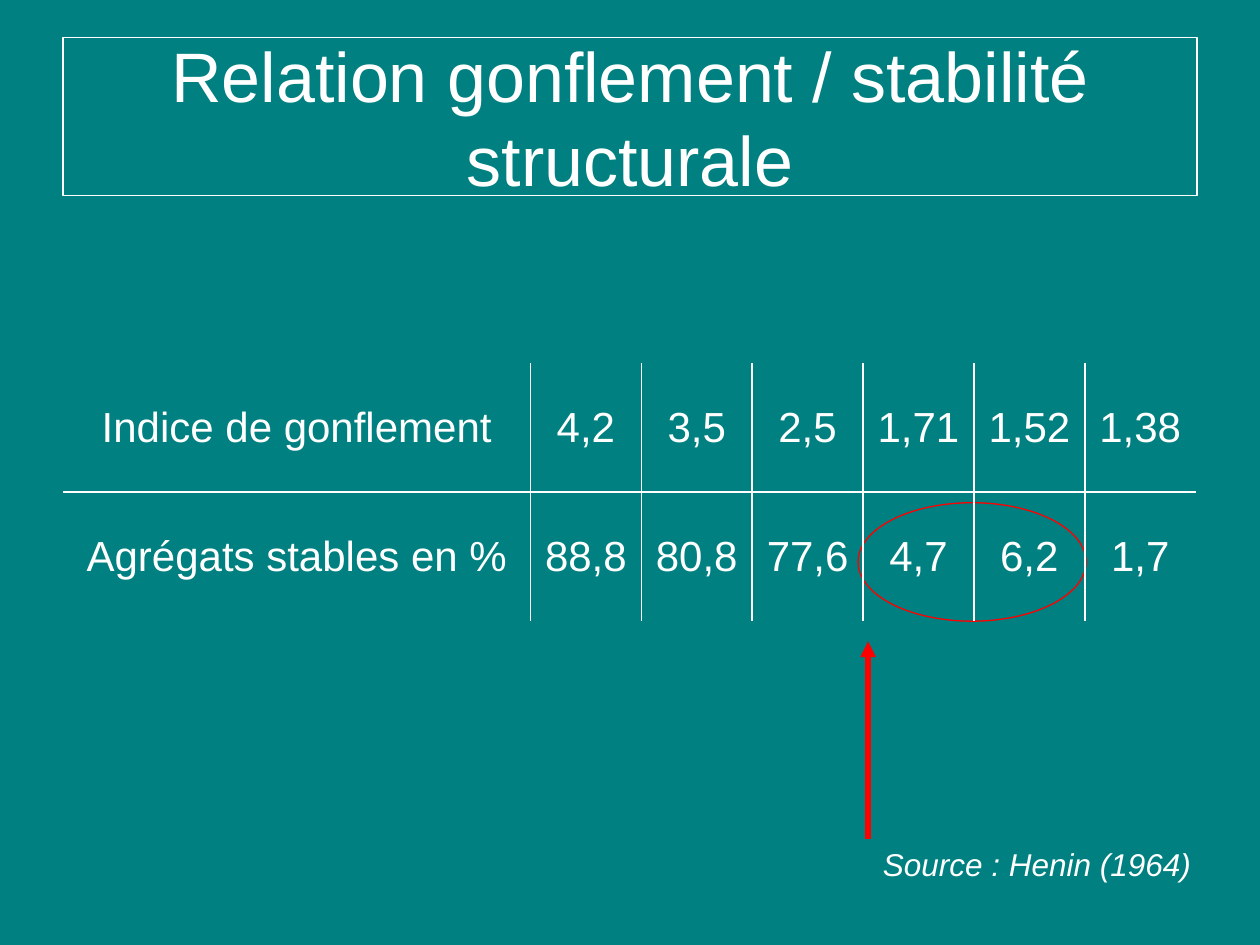
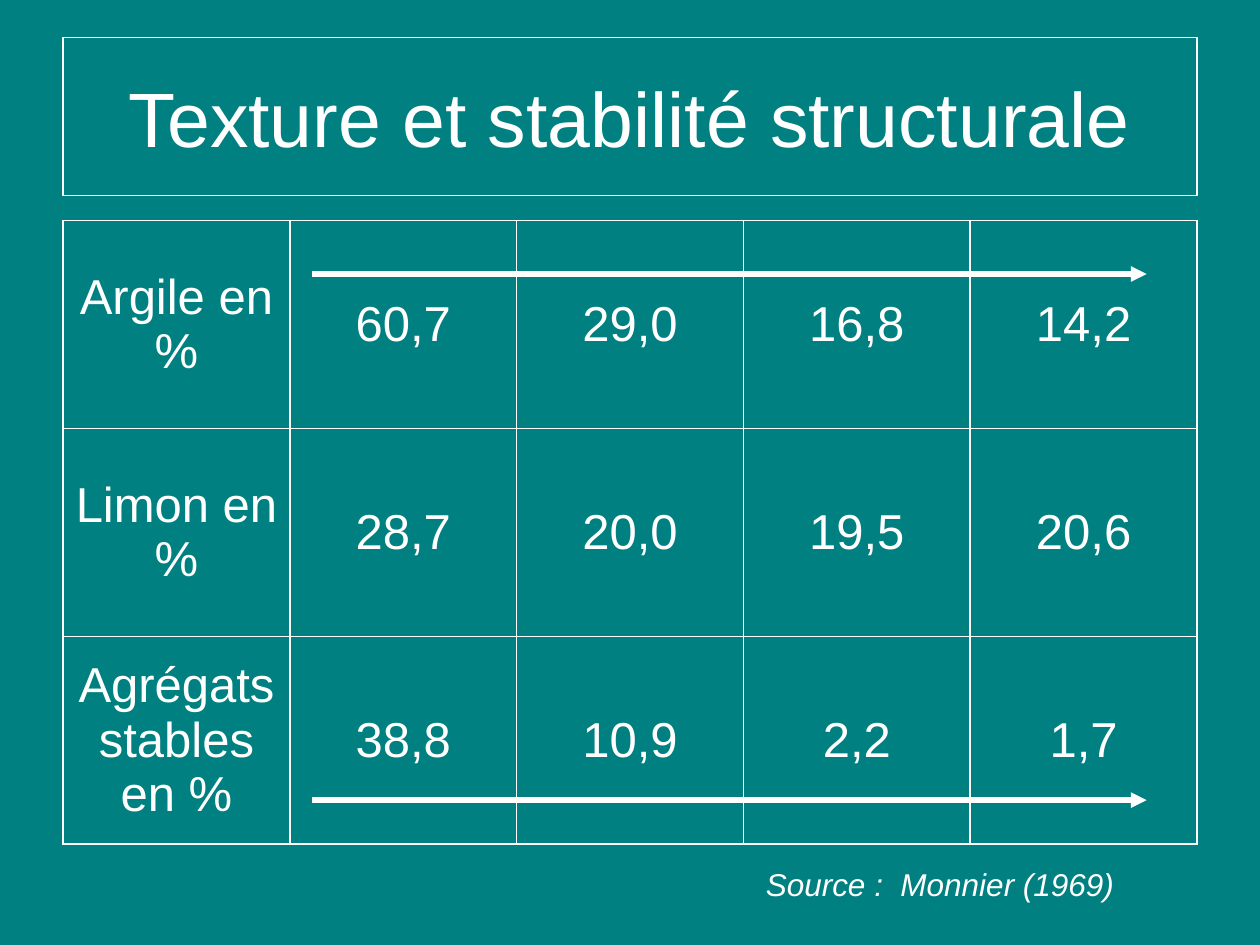
import pptx
import pptx.util
import pptx.dml.color
import pptx.enum.shapes
import pptx.enum.text
import pptx.oxml
import pptx.oxml.ns

COLORS = {"ground": "008080", "ink": "FFFFFF", "accent": "FF0000"}
FONT = "Arial"
COLS, ROWS = 100, 75  # slide grid, square units
UNIT = pptx.util.Inches(10) // COLS
MARGIN = 5
CONTENT = COLS - 2 * MARGIN
CENTER = pptx.enum.text.PP_ALIGN.CENTER
MIDDLE = pptx.enum.text.MSO_ANCHOR.MIDDLE


def grid(*units):
    return [round(u * UNIT) for u in units]


def rgb(name):
    return pptx.dml.color.RGBColor.from_string(COLORS[name])


def set_line(shape, color, width):
    shape.line.color.rgb = rgb(color)
    shape.line.width = pptx.util.Pt(width)


def write(tf, text, size, **extra):
    """Put one centred paragraph in a text frame."""
    p = tf.paragraphs[0]
    p.alignment = CENTER
    r = p.add_run()
    r.text = text
    r.font.color.rgb = rgb("ink")
    formats = {"name": FONT, "size": pptx.util.Pt(size), **extra}
    for key, value in formats.items():
        setattr(r.font, key, value)


def add_titled_slide(prs, title, size):
    s = prs.slides.add_slide(prs.slide_layouts[5])
    sp = s.shapes.title
    box = grid(MARGIN, 3, CONTENT, 12.5)
    for key, value in zip(("left", "top", "width", "height"), box):
        setattr(sp, key, value)
    set_line(sp, "ink", 0.75)
    tf = sp.text_frame
    formats = {"word_wrap": True, "vertical_anchor": MIDDLE,
               "auto_size": pptx.enum.text.MSO_AUTO_SIZE.NONE}
    for key, value in formats.items():
        setattr(tf, key, value)
    write(tf, title, size)
    return s


def set_borders(cell, visible):
    """Draw the sides (L, R, T, B) flagged in visible; clear the others."""
    tc_pr = cell._tc.get_or_add_tcPr()
    for side, shown in visible.items():
        paint = (f'<a:solidFill><a:srgbClr val="{COLORS["ink"]}"/></a:solidFill>'
                 if shown else "<a:noFill/>")
        tc_pr.append(pptx.oxml.parse_xml(
            f'<a:ln{side} {pptx.oxml.ns.nsdecls("a")} w="{pptx.util.Pt(1)}">'
            f"{paint}</a:ln{side}>"))


def add_data_table(s, rows, top, widths, row_height, size, framed):
    """Add a table with inner rules, and an outer frame if framed."""
    n_rows, n_cols = len(rows), len(widths)
    box = grid(MARGIN, top, sum(widths), row_height * n_rows)
    table = s.shapes.add_table(n_rows, n_cols, *box).table
    table.first_row = table.horz_banding = False
    for column, width in zip(table.columns, grid(*widths)):
        column.width = width
    for i, row in enumerate(rows):
        table.rows[i].height = grid(row_height)[0]
        for j, text in enumerate(row):
            cell = table.cell(i, j)
            cell.vertical_anchor = MIDDLE
            set_borders(cell, {"L": framed or j > 0,
                               "R": framed or j < n_cols - 1,
                               "T": framed or i > 0,
                               "B": framed or i < n_rows - 1})
            cell.fill.background()
            write(cell.text_frame, text, size)


def add_arrow(s, start, end, color):
    cx = s.shapes.add_connector(pptx.enum.shapes.MSO_CONNECTOR.STRAIGHT,
                                *grid(*start, *end))
    set_line(cx, color, 3)
    ns = pptx.oxml.ns.nsdecls("a")
    cx.line._get_or_add_ln().append(
        pptx.oxml.parse_xml(f'<a:tailEnd {ns} type="triangle"/>'))
    cx._element.spPr.append(pptx.oxml.parse_xml(f"<a:effectLst {ns}/>"))


def add_ring(s, left, top, width, height):
    sp = s.shapes.add_shape(pptx.enum.shapes.MSO_SHAPE.OVAL,
                            *grid(left, top, width, height))
    sp.shadow.inherit = False
    sp.fill.background()
    set_line(sp, "accent", 0.75)


def add_source(s, text, left, top):
    """Add the source line, centred between left and the slide's right edge."""
    tf = s.shapes.add_textbox(*grid(left, top, COLS - left, 4)).text_frame
    tf.word_wrap = True
    write(tf, text, 18, italic=True)


def build_swelling(prs):
    s = add_titled_slide(prs, "Relation gonflement / stabilité structurale", 40)
    add_ring(s, 68.1, 39.9, 18.1, 9.4)
    add_data_table(s, [
        ["Indice de gonflement", "4,2", "3,5", "2,5", "1,71", "1,52", "1,38"],
        ["Agrégats stables en %", "88,8", "80,8", "77,6", "4,7", "6,2", "1,7"],
    ], 28.8, [37.1] + [8.8] * 6, 10.25, 24, framed=False)
    add_arrow(s, (68.9, 66.6), (68.9, 50.9), "accent")
    add_source(s, "Source : Henin (1964)", 64.6, 66.6)


def build_texture(prs):
    s = add_titled_slide(prs, "Texture et stabilité structurale", 44)
    add_data_table(s, [
        ["Argile en %", "60,7", "29,0", "16,8", "14,2"],
        ["Limon en %", "28,7", "20,0", "19,5", "20,6"],
        ["Agrégats stables en %", "38,8", "10,9", "2,2", "1,7"],
    ], 17.5, [CONTENT / 5] * 5, 16.5, 28, framed=True)
    for y in (21.75, 63.5):
        add_arrow(s, (24.8, y), (91, y), "ink")
    add_source(s, "Source :  Monnier (1969)", 49.2, 68.2)


def main():
    prs = pptx.Presentation()
    prs.slide_width, prs.slide_height = grid(COLS, ROWS)
    fill = prs.slide_master.background.fill
    fill.solid()
    fill.fore_color.rgb = rgb("ground")
    build_swelling(prs)
    build_texture(prs)
    prs.save("out.pptx")


if __name__ == "__main__":
    main()
